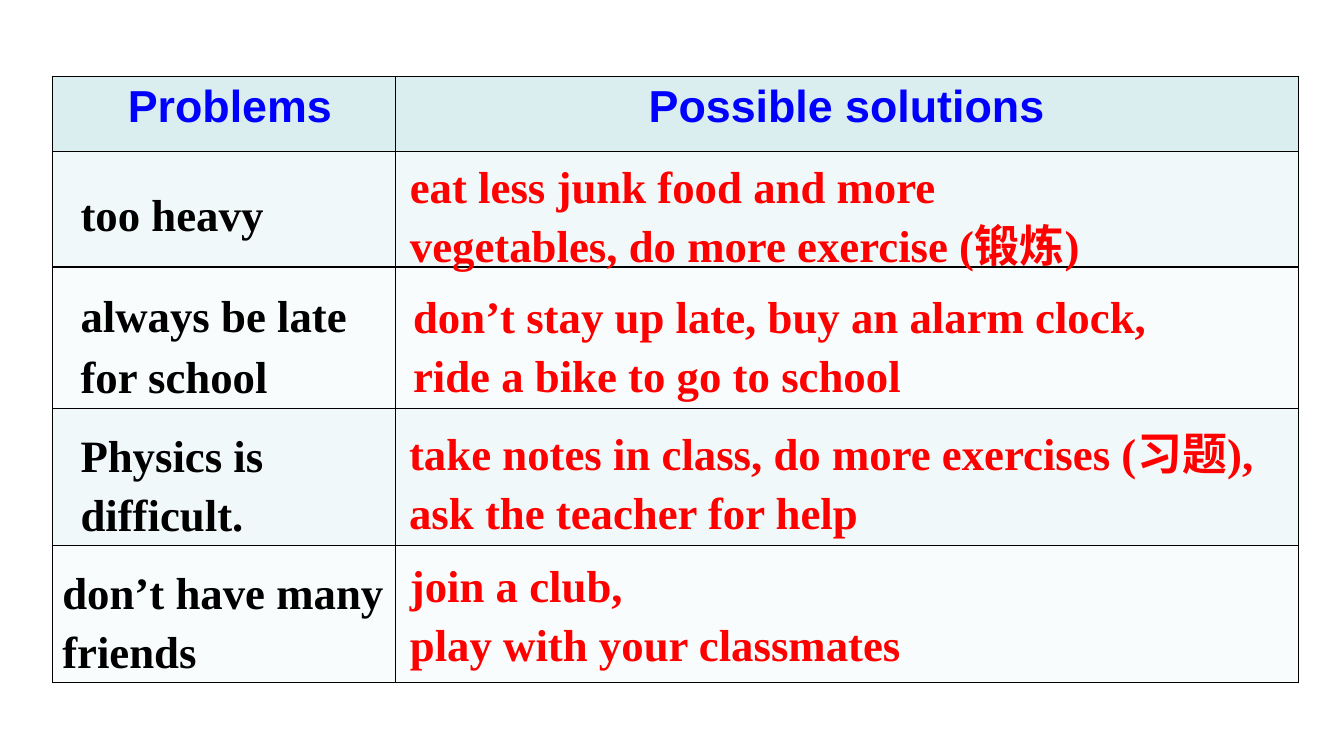
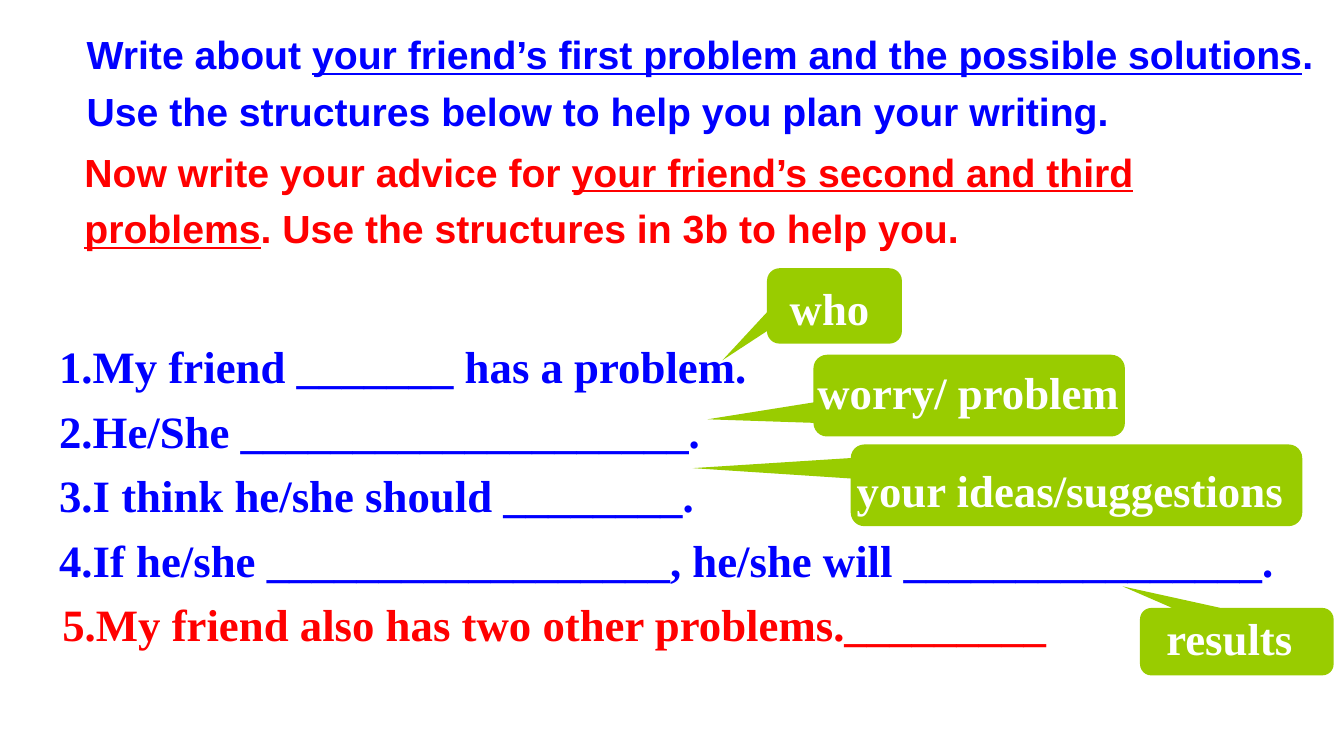
"""Build two lesson slides: problems with solutions, and a guided writing task."""
from lxml.etree import SubElement
from pptx import Presentation
from pptx.dml.color import RGBColor
from pptx.enum.shapes import MSO_SHAPE
from pptx.enum.text import MSO_ANCHOR, PP_ALIGN
from pptx.oxml.ns import qn
from pptx.util import Cm, Pt

BLACK, WHITE, BLUE, RED, GREEN = "000000", "FFFFFF", "0000FF", "FF0000", "99CC00"
HEADER_FILL, BAND_FILLS = "DAEDEF", ("F1F8F9", "F8FCFC")
SANS, SERIF = "Arial", "Times New Roman"


def write(frame, lines, color, font=SERIF, size=32, spacing=1.0, align=PP_ALIGN.LEFT):
    """Fill a text frame; bars in a line enclose underlined words."""
    frame.word_wrap = True
    for number, line in enumerate(lines):
        para = frame.add_paragraph() if number else frame.paragraphs[0]
        para.alignment, para.line_spacing = align, spacing
        para.font.name, para.font.size, para.font.bold = font, Pt(size), True
        para.font.color.rgb = RGBColor.from_string(color)
        for position, words in enumerate(line.split("|")):
            span = para.add_run()
            span.text = words
            if position % 2:
                span.font.underline = True


def add_text(page, place, lines, color, **style):
    """Add a text box at left, top, width, height in centimetres."""
    box = page.shapes.add_textbox(*map(Cm, place))
    write(box.text_frame, lines, color, **style)
    return box


deck = Presentation()
deck.slide_width, deck.slide_height = Cm(33.87), Cm(19.05)

page = deck.slides.add_slide(deck.slide_layouts[6])
column_widths = (8.64, 22.76)
row_heights = (1.88, 2.92, 3.56, 3.45, 3.45)
table = page.shapes.add_table(
    len(row_heights), len(column_widths), Cm(1.32), Cm(1.93),
    Cm(sum(column_widths)), Cm(sum(row_heights))).table
for column, width in zip(table.columns, column_widths):
    column.width = Cm(width)
for row_number, (row, height) in enumerate(zip(table.rows, row_heights)):
    row.height = Cm(height)
    fill_color = BAND_FILLS[(row_number - 1) % 2] if row_number else HEADER_FILL
    for cell in row.cells:
        properties = cell._tc.get_or_add_tcPr()
        for side in ("lnL", "lnR", "lnT", "lnB"):
            border = SubElement(properties, qn("a:" + side), w=str(Pt(1)))
            SubElement(SubElement(border, qn("a:solidFill")), qn("a:srgbClr"), val=BLACK)
        cell.fill.solid()
        cell.fill.fore_color.rgb = RGBColor.from_string(fill_color)
for cell, heading in zip(table.rows[0].cells, (" Problems", "Possible solutions")):
    write(cell.text_frame, [heading], BLUE, font=SANS, align=PP_ALIGN.CENTER)

problems = [
    ((1.78, 4.57, 5.41, 1.63), "too heavy", 1.0),
    ((1.78, 6.91, 7.34, 3.4), "always be late for school", 1.15),
    ((1.78, 10.52, 7.34, 3.28), "Physics is difficult.", 1.1),
    ((1.32, 13.97, 9.7, 3.28), "don’t have many friends", 1.1),
]
for place, problem, spacing in problems:
    add_text(page, place, [problem], BLACK, spacing=spacing)

solutions = [
    ((10.08, 3.73, 19.23, 3.28),
     ["eat less junk food and more vegetables, do more exercise (锻炼)"]),
    ((10.16, 7.01, 19.56, 3.28),
     ["don’t stay up late, buy an alarm clock, ride a bike to go to school"]),
    ((10.06, 10.46, 22.28, 3.28),
     ["take notes in class, do more exercises (习题), ask the teacher for help"]),
    ((10.08, 13.79, 18.87, 3.28), ["join a club,", "play with your classmates"]),
]
for place, lines in solutions:
    add_text(page, place, lines, RED, spacing=1.1)

page = deck.slides.add_slide(deck.slide_layouts[5])
title = page.shapes.title
title.left, title.top, title.width, title.height = map(Cm, (1.93, 0.18, 31.57, 3.56))
title.text_frame.vertical_anchor = MSO_ANCHOR.MIDDLE
write(title.text_frame, [
    "Write about |your friend’s first problem and the possible solutions|.",
    "Use the structures below to help you plan your writing.",
], BLUE, font=SANS, size=28, spacing=1.2)

advice = add_text(page, (1.88, 2.72, 31.01, 4.39), [
    "Now write your advice for |your friend’s second and third problems|. "
    "Use the structures in 3b to help you.",
], RED, font=SANS, size=28, spacing=1.2)
advice.text_frame.vertical_anchor = MSO_ANCHOR.MIDDLE

add_text(page, (1.24, 8.15, 32.05, 6.81), [
    "1.My friend _______ has a problem.",
    "2.He/She ____________________.",
    "3.I think he/she should ________.",
    "4.If he/she __________________, he/she will ________________.",
], BLUE, spacing=1.2)
add_text(page, (1.32, 14.63, 27.1, 1.9),
         ["5.My friend also has two other problems._________"], RED, spacing=1.2)

callouts = [
    ("your ideas/suggestions", (21.44, 11.2, 11.38, 2.06), (-0.85, -0.21), (0.05, 0.61), 0.8),
    ("worry/ problem", (20.5, 8.94, 7.85, 2.06), (-0.84, 0.29), (0, 0.15), 1.0),
    ("who", (19.33, 6.76, 3.4, 1.9), (-0.83, 0.72), (0.48, 0.23), 1.0),
    ("results", (28.73, 15.32, 4.88, 1.7), (-0.59, -0.82), (0.58, 0.25), 0.8),
]
for label, place, tip, inset, spacing in callouts:
    callout = page.shapes.add_shape(MSO_SHAPE.ROUNDED_RECTANGULAR_CALLOUT, *map(Cm, place))
    callout.adjustments[0], callout.adjustments[1] = tip
    callout.shadow.inherit = False
    callout.fill.solid()
    callout.fill.fore_color.rgb = RGBColor.from_string(GREEN)
    callout.line.fill.background()
    frame = callout.text_frame
    frame.vertical_anchor = MSO_ANCHOR.TOP
    frame.margin_left, frame.margin_top = map(Cm, inset)
    frame.margin_right = frame.margin_bottom = 0
    write(frame, [label], WHITE, spacing=spacing)

deck.save("out.pptx")
